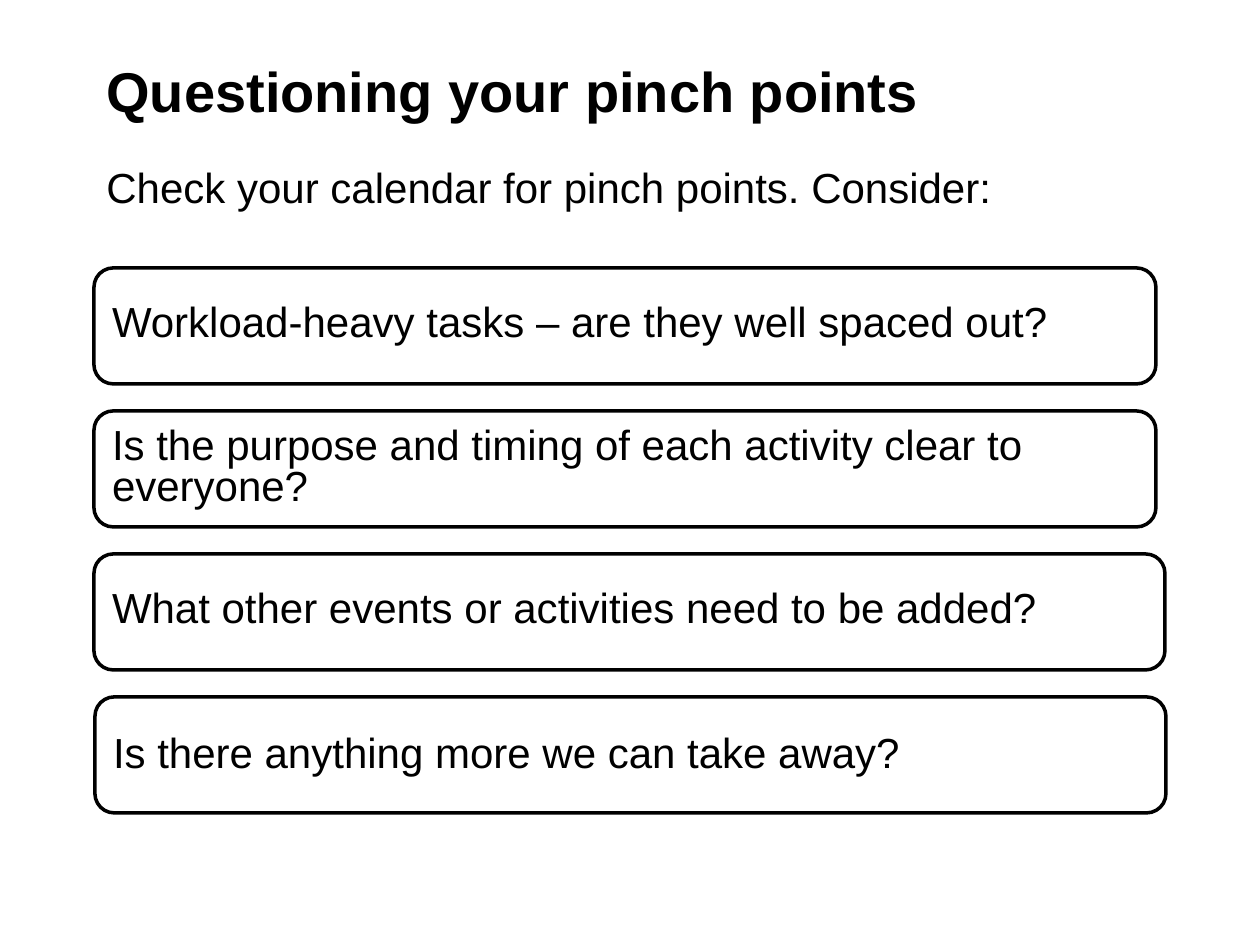
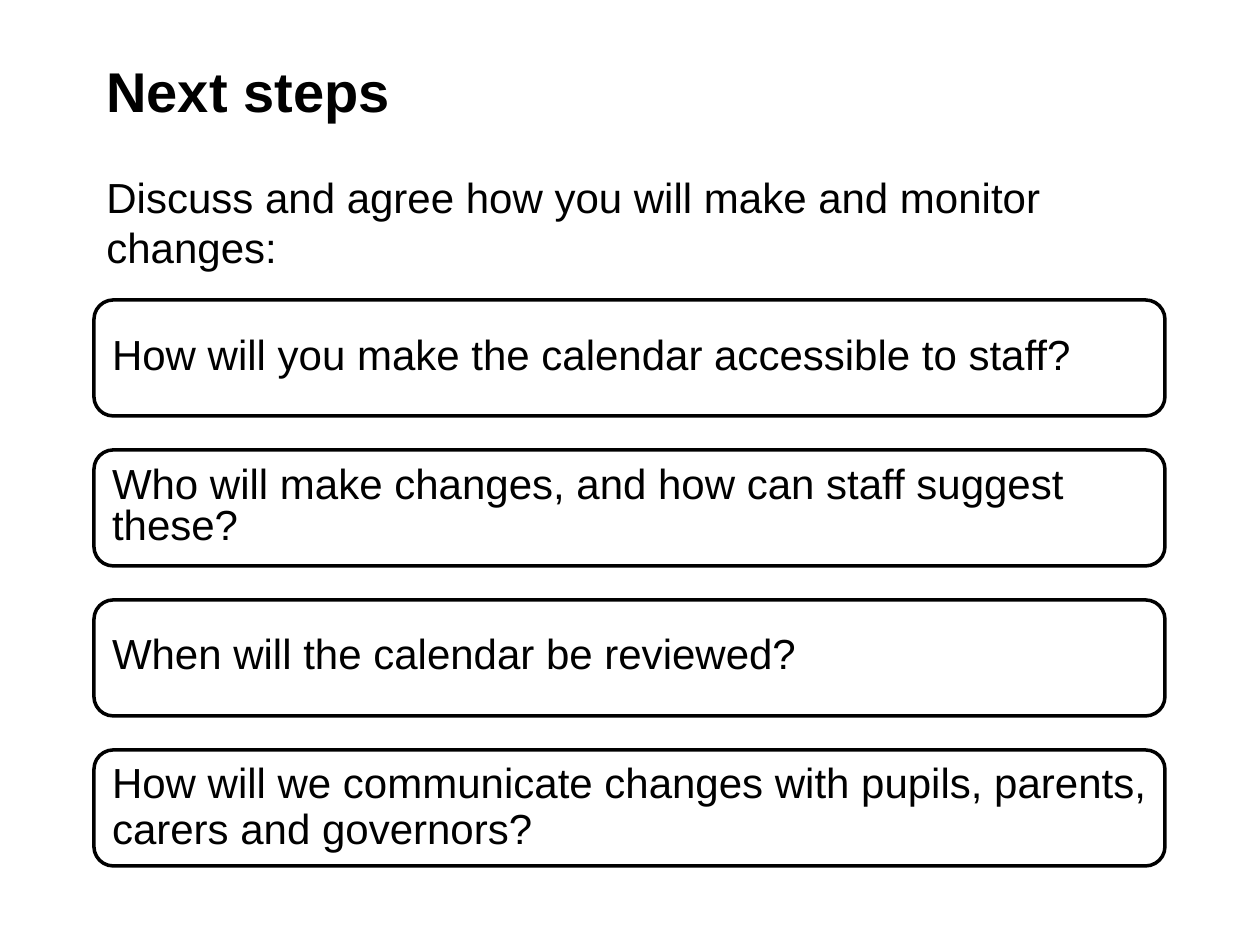
import pptx
import pptx.dml.color
import pptx.enum.shapes
import pptx.enum.text
import pptx.util

PX = 914400 // 126  # EMU per px
FONT, BLACK = "Arial", "000000"
LEFT, WIDTH, CARD_HEIGHT = 94, 1071, 116
MIDDLE = pptx.enum.text.MSO_ANCHOR.MIDDLE
TOP = pptx.enum.text.MSO_ANCHOR.TOP

# Content: each card is (question, left, width, line spacing)
SLIDES = [
    {
        "title": "Questioning your pinch points",
        "intro": "Check your calendar for pinch points. Consider:",
        "intro_height": 59, "intro_spacing": 0.8, "intro_after": 0,
        "first_card": 268, "card_pitch": 143,
        "cards": [
            ("Workload-heavy tasks – are they well spaced out?", LEFT, 1062, 0.8),
            ("Is the purpose and timing of each activity clear to everyone?", LEFT, 1062, 0.8),
            ("What other events or activities need to be added?", LEFT, WIDTH, 0.8),
            ("Is there anything more we can take away?", LEFT + 1, WIDTH, 0.9),
        ],
    },
    {
        "title": "Next steps",
        "intro": "Discuss and agree how you will make and monitor changes:",
        "intro_height": 129, "intro_spacing": 1.0, "intro_after": 6,
        "first_card": 300, "card_pitch": 150,
        "cards": [
            ("How will you make the calendar accessible to staff?", LEFT, WIDTH, 0.8),
            ("Who will make changes, and how can staff suggest these?", LEFT, WIDTH, 0.8),
            ("When will the calendar be reviewed?", LEFT, WIDTH, 0.8),
            ("How will we communicate changes with pupils, parents, carers and governors?",
             LEFT, WIDTH, 0.9),
        ],
    },
]


def color(hex_value):
    return pptx.dml.color.RGBColor.from_string(hex_value)


def px(*lengths):
    return [length * PX for length in lengths]


def write(shape, text, size=24, bold=False, anchor=MIDDLE, spacing=1.0, after=0):
    frame = shape.text_frame
    frame.word_wrap = True
    frame.vertical_anchor = anchor
    paragraph = frame.paragraphs[0]
    paragraph.alignment = pptx.enum.text.PP_ALIGN.LEFT
    paragraph.line_spacing = spacing
    paragraph.space_after = pptx.util.Pt(after)
    run = paragraph.add_run()
    run.text = text
    run.font.name = FONT
    run.font.size = pptx.util.Pt(size)
    run.font.bold = bold
    run.font.color.rgb = color(BLACK)


def add_card(slide, top, question, left, width, spacing):
    card = slide.shapes.add_shape(
        pptx.enum.shapes.MSO_SHAPE.ROUNDED_RECTANGLE, *px(left, top, width, CARD_HEIGHT))
    card.shadow.inherit = False
    card.fill.background()
    card.line.color.rgb = color(BLACK)
    card.line.width = pptx.util.Pt(2)
    write(card, question, spacing=spacing)


def build_slide(deck, content):
    slide = deck.slides.add_slide(deck.slide_layouts[6])
    # Heading and lead-in
    title = slide.shapes.add_textbox(*px(LEFT, 45, WIDTH, 90))
    write(title, content["title"], size=32, bold=True)
    intro = slide.shapes.add_textbox(*px(LEFT, 165, WIDTH, content["intro_height"]))
    write(intro, content["intro"], anchor=TOP,
          spacing=content["intro_spacing"], after=content["intro_after"])
    # Evenly stacked question cards
    for row, card in enumerate(content["cards"]):
        add_card(slide, content["first_card"] + row * content["card_pitch"], *card)


def main():
    deck = pptx.Presentation()
    deck.slide_width = pptx.util.Inches(10)
    deck.slide_height = pptx.util.Inches(7.5)
    for content in SLIDES:
        build_slide(deck, content)
    deck.save("out.pptx")


if __name__ == "__main__":
    main()
